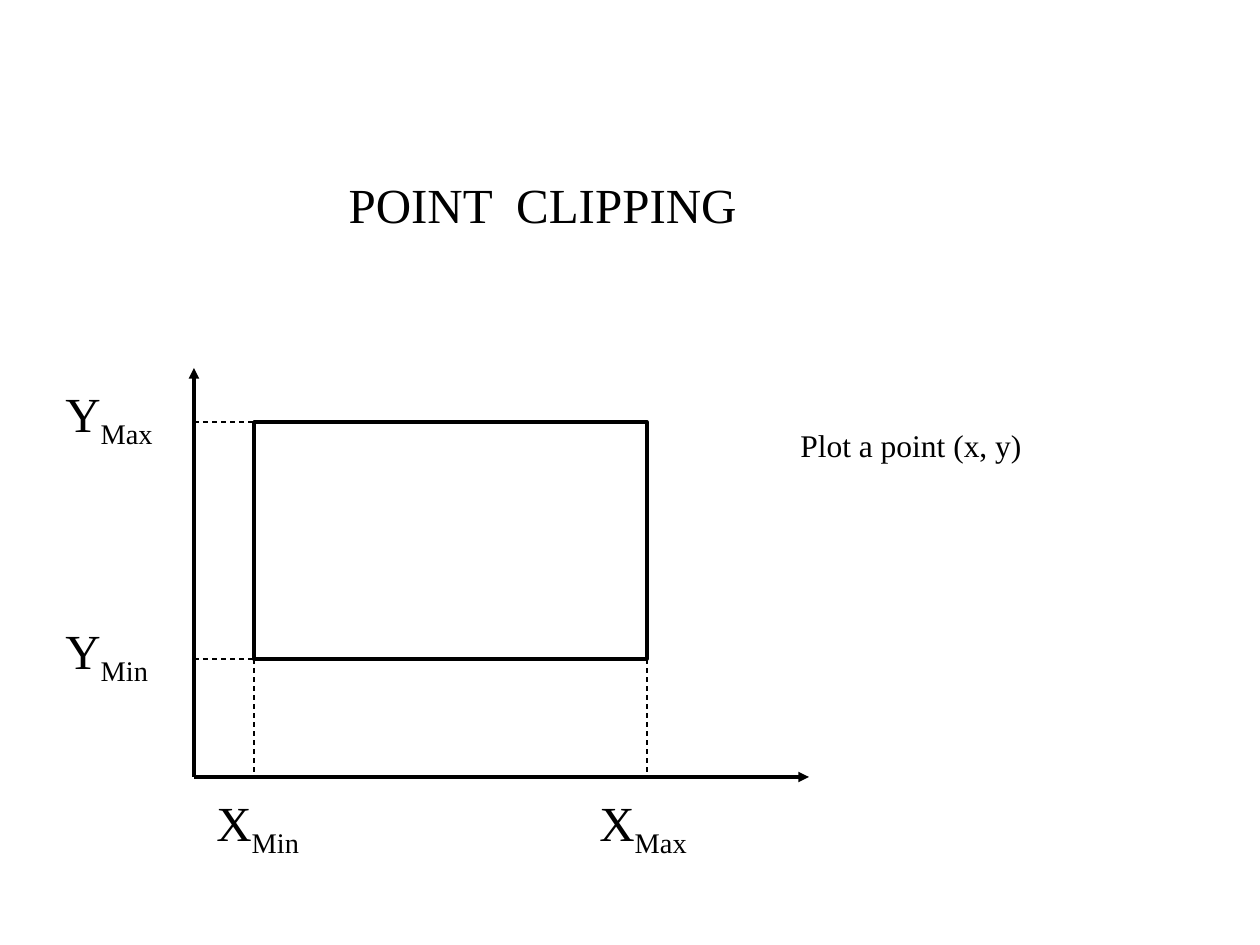
from dataclasses import dataclass

from lxml.etree import SubElement
from pptx import Presentation
from pptx.dml.color import RGBColor
from pptx.enum.dml import MSO_LINE
from pptx.enum.shapes import MSO_CONNECTOR, MSO_SHAPE
from pptx.enum.text import MSO_ANCHOR, MSO_AUTO_SIZE, PP_ALIGN
from pptx.oxml.ns import qn
from pptx.util import Pt

PX = 914400 // 126  # EMU per pixel


@dataclass(frozen=True)
class Theme:
    font: str = "Times New Roman"
    ink: RGBColor = RGBColor(0, 0, 0)
    title: int = 28
    label: int = 28
    note: int = 18
    heavy: float = 2
    thin: float = 0.75


THEME = Theme()


def emu(*lengths):
    return [n * PX for n in lengths]


def style_text(tf, size):
    tf.word_wrap = True
    tf.auto_size = MSO_AUTO_SIZE.NONE
    tf.vertical_anchor = MSO_ANCHOR.TOP
    for p in tf.paragraphs:
        p.alignment = PP_ALIGN.LEFT
        for r in p.runs:
            r.font.name = THEME.font
            r.font.size = Pt(size)
            r.font.color.rgb = THEME.ink


def add_line(slide, x1, y1, x2, y2, width, dashed=False, arrow=False):
    line = slide.shapes.add_connector(MSO_CONNECTOR.STRAIGHT, *emu(x1, y1, x2, y2))
    line.line.color.rgb = THEME.ink
    line.line.width = Pt(width)
    if dashed:
        line.line.dash_style = MSO_LINE.DASH
    if arrow:
        SubElement(line.line._get_or_add_ln(), qn("a:tailEnd"), type="triangle")
    SubElement(line._element.spPr, qn("a:effectLst"))


def add_label(slide, x, y, w, h, axis, limit):
    """Axis letter followed by its limit as a subscript."""
    tf = slide.shapes.add_textbox(*emu(x, y, w, h)).text_frame
    p = tf.paragraphs[0]
    p.add_run().text = axis
    sub = p.add_run()
    sub.text = limit
    style_text(tf, THEME.label)
    sub.font._element.set("baseline", "-25000")


def add_title(slide, x, y, w, h):
    sp = slide.shapes.title
    sp.left, sp.top, sp.width, sp.height = emu(x, y, w, h)
    sp.text_frame.text = "POINT  CLIPPING"
    style_text(sp.text_frame, THEME.title)


def add_diagram(slide, x, y, w, h):
    """Axes with the clipping window and its limits."""
    axis_x, axis_y = x + 141, y + h
    left, top, win_w, win_h = x + 201, y + 54, 393, 237
    right, bottom = left + win_w, top + win_h

    # Axes
    for end_x, end_y in ((axis_x, y), (x + w, axis_y)):
        add_line(slide, axis_x, axis_y, end_x, end_y, THEME.heavy, arrow=True)

    # Clipping window
    sp = slide.shapes.add_shape(MSO_SHAPE.RECTANGLE, *emu(left, top, win_w, win_h))
    sp.shadow.inherit = False
    sp.fill.background()
    sp.line.color.rgb = THEME.ink
    sp.line.width = Pt(THEME.heavy)

    # Limits on each axis, with guides to the window corners
    for limit, edge, label_x in (("Max", right, right - 60), ("Min", left, left - 50)):
        add_line(slide, edge, bottom, edge, axis_y, THEME.thin, dashed=True)
        add_label(slide, label_x, axis_y + 9, 131, 63, "X", limit)
    for limit, edge in (("Max", top), ("Min", bottom)):
        add_line(slide, axis_x, edge, left, edge, THEME.thin, dashed=True)
        add_label(slide, x, edge - 45, 131, 63, "Y", limit)


def add_note(slide, x, y, w, h):
    tf = slide.shapes.add_textbox(*emu(x, y, w, h)).text_frame
    tf.text = "Plot a point (x, y)"
    style_text(tf, THEME.note)


def main():
    prs = Presentation()
    prs.slide_width, prs.slide_height = emu(1260, 945)
    slide = prs.slides.add_slide(prs.slide_layouts[5])
    add_title(slide, 336, 168, 420, 72)
    add_diagram(slide, 53, 368, 756, 409)
    add_note(slide, 788, 420, 305, 50)
    prs.save("out.pptx")


if __name__ == "__main__":
    main()
